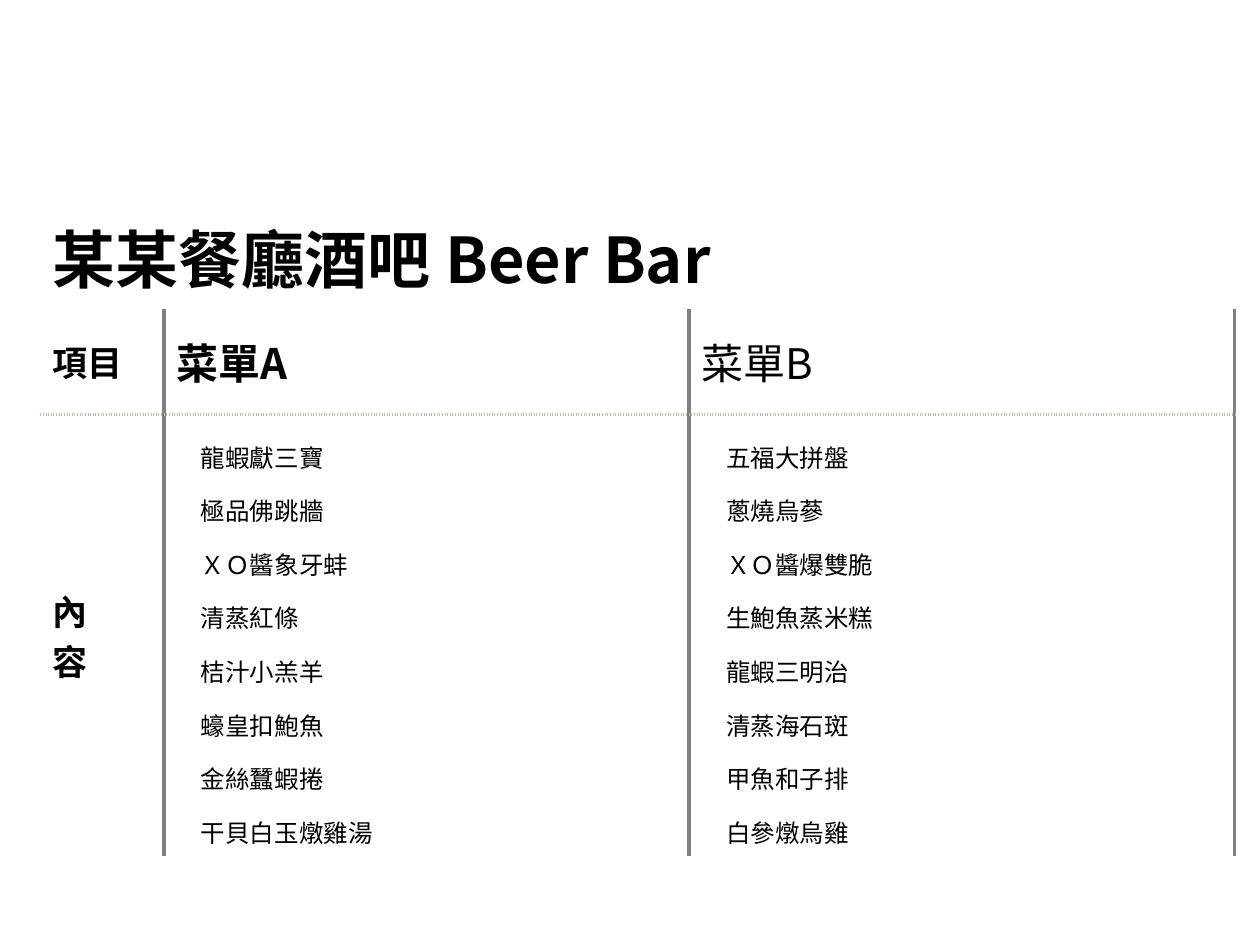
from dataclasses import dataclass

from lxml import etree
from pptx import Presentation
from pptx.dml.color import RGBColor
from pptx.enum.text import MSO_ANCHOR
from pptx.oxml.ns import qn
from pptx.util import Inches, Pt

MIDDLE, TOP = MSO_ANCHOR.MIDDLE, MSO_ANCHOR.TOP
BLANK_LAYOUT = 6


@dataclass(frozen=True)
class Theme:
    font: str = "Noto Sans CJK TC"
    ink: str = "000000"
    paper: str = "FFFFFF"
    title: int = 36
    menu: int = 24
    label: int = 20
    dish: int = 14
    # Border styles: colour, width in points, dash
    column_rule: tuple = ("808080", 2.25, "solid")
    header_rule: tuple = ("C4BD97", 1.5, "sysDot")


THEME = Theme()

# Content
TITLE = "某某餐廳酒吧 Beer Bar"
ITEM_LABEL = "項目"
CONTENT_LABEL = ["內", "容"]
MENUS = [
    ("菜單A", True, ["龍蝦獻三寶", "極品佛跳牆", "ＸＯ醬象牙蚌", "清蒸紅條",
                    "桔汁小羔羊", "蠔皇扣鮑魚", "金絲蠶蝦捲", "干貝白玉燉雞湯"]),
    ("菜單B", False, ["五福大拼盤", "蔥燒烏蔘", "ＸＯ醬爆雙脆", "生鮑魚蒸米糕",
                     "龍蝦三明治", "清蒸海石斑", "甲魚和子排", "白參燉烏雞"]),
]

# Table geometry in inches
LEFT, TABLE_TOP, TABLE_HEIGHT = 0.32, 1.61, 4.57
COLUMNS = [0.98, 4.17, 4.33]
ROW_HEIGHT = 0.84
ROWS = 3


def write(cell, lines, size, bold=False, anchor=MIDDLE, spacing=None, indent=0):
    cell.vertical_anchor = anchor
    cell.text_frame.text = "\n".join(lines)
    for paragraph in cell.text_frame.paragraphs:
        if spacing:
            paragraph.line_spacing = spacing
        if indent:
            properties = paragraph._p.get_or_add_pPr()
            properties.set("marL", str(Pt(indent)))
            properties.set("indent", "0")
        for run in paragraph.runs:
            run.font.name = THEME.font
            run.font.size = Pt(size)
            run.font.bold = bold
            run.font.color.rgb = RGBColor.from_string(THEME.ink)
            east_asian = etree.SubElement(run._r.get_or_add_rPr(), qn("a:ea"))
            east_asian.set("typeface", THEME.font)


def set_borders(cell, rules):
    """Draw the sides named in rules (L, R, T, B) and clear the others."""
    properties = cell._tc.get_or_add_tcPr()
    for side in "LRTB":
        line = etree.SubElement(properties, qn(f"a:ln{side}"))
        if side not in rules:
            etree.SubElement(line, qn("a:noFill"))
            continue
        color, width, dash = rules[side]
        line.set("w", str(Pt(width)))
        fill = etree.SubElement(line, qn("a:solidFill"))
        etree.SubElement(fill, qn("a:srgbClr")).set("val", color)
        etree.SubElement(line, qn("a:prstDash")).set("val", dash)


def rules_for(row, column):
    """Column rules stand below the title; a dotted rule ends the header."""
    if row == 0:
        return {}
    rules = {"R": THEME.column_rule}
    if column > 0:
        rules["L"] = THEME.column_rule
    rules["B" if row == 1 else "T"] = THEME.header_rule
    return rules


# Slide
deck = Presentation()
deck.slide_width, deck.slide_height = Inches(10), Inches(7.5)
slide = deck.slides.add_slide(deck.slide_layouts[BLANK_LAYOUT])

# Table grid
frame = slide.shapes.add_table(
    ROWS, len(COLUMNS), Inches(LEFT), Inches(TABLE_TOP),
    Inches(sum(COLUMNS)), Inches(TABLE_HEIGHT))
menu_table = frame.table
for column, width in zip(menu_table.columns, COLUMNS):
    column.width = Inches(width)
for row in menu_table.rows:
    row.height = Inches(ROW_HEIGHT)
frame.height = Inches(TABLE_HEIGHT)

# Borders and fills
for row in range(ROWS):
    for column in range(len(COLUMNS)):
        cell = menu_table.cell(row, column)
        set_borders(cell, rules_for(row, column))
        cell.fill.solid()
        cell.fill.fore_color.rgb = RGBColor.from_string(THEME.paper)

# Title row and row labels
title_cell = menu_table.cell(0, 0)
title_cell.merge(menu_table.cell(0, len(COLUMNS) - 1))
write(title_cell, [TITLE], THEME.title, bold=True)
write(menu_table.cell(1, 0), [ITEM_LABEL], THEME.label, bold=True)
write(menu_table.cell(2, 0), CONTENT_LABEL, THEME.label, bold=True)

# Menus, dishes indented by one character
for column, (menu, bold, dishes) in enumerate(MENUS, start=1):
    write(menu_table.cell(1, column), [menu], THEME.menu, bold=bold)
    write(menu_table.cell(2, column), dishes, THEME.dish, anchor=TOP,
          spacing=1.5, indent=THEME.dish)

deck.save("out.pptx")
